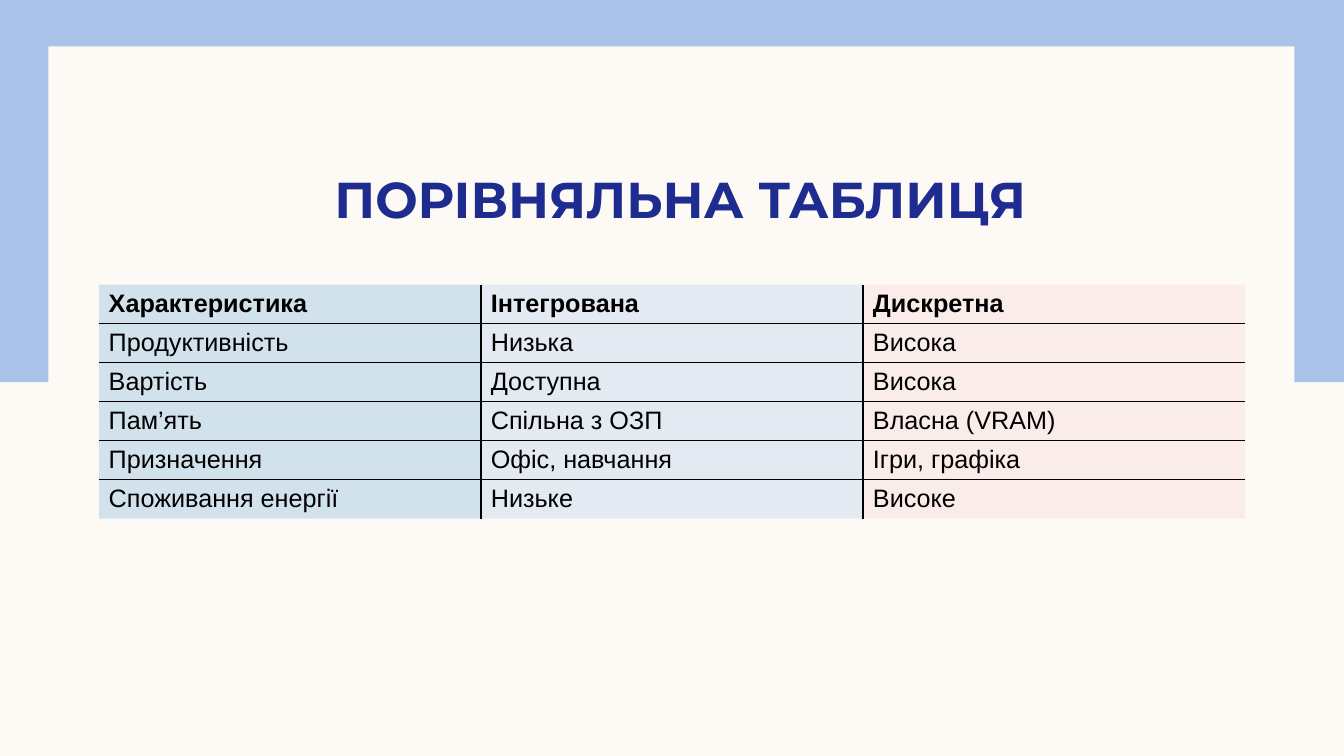
from dataclasses import dataclass

import lxml.etree
import pptx
import pptx.dml.color
import pptx.enum.shapes
import pptx.enum.text
import pptx.oxml.ns
import pptx.util
from pptx.util import Cm

COLORS = {
    "cream": "FDFAF6",
    "frame": "AAC3E8",
    "title": "1F2C8F",
    "text": "000000",
    "border": "000000",
}


@dataclass
class Panel:
    left: float
    top: float
    width: float
    height: float
    color: str


@dataclass
class Column:
    fill: str
    opacity: int  # percent
    texts: list[str]  # header first


PANELS = [
    Panel(-0.08, 0, 33.95, 9.63, "frame"),
    Panel(1.22, 1.17, 31.4, 16.74, "cream"),
]
COLUMNS = [
    Column("0070C0", 17, ["Характеристика", "Продуктивність", "Вартість",
                          "Пам’ять", "Призначення", "Споживання енергії"]),
    Column("AAC4E9", 29, ["Інтегрована", "Низька", "Доступна",
                          "Спільна з ОЗП", "Офіс, навчання", "Низьке"]),
    Column("F5CDCE", 30, ["Дискретна", "Висока", "Висока",
                          "Власна (VRAM)", "Ігри, графіка", "Високе"]),
]
COLUMN_WIDTH = 9.63
ROW_HEIGHT = 0.97


def rgb(value: str) -> pptx.dml.color.RGBColor:
    return pptx.dml.color.RGBColor.from_string(value)


def child(parent, tag: str, **attributes: str):
    return lxml.etree.SubElement(parent, pptx.oxml.ns.qn(tag), **attributes)


def add_text(para, text: str, font: str, size: int, color: str, bold: bool) -> None:
    span = para.add_run()
    span.text = text
    span.font.name = font
    span.font.size = pptx.util.Pt(size)
    span.font.bold = bold
    span.font.color.rgb = rgb(COLORS[color])


def add_panel(page, panel: Panel) -> None:
    shape = page.shapes.add_shape(
        pptx.enum.shapes.MSO_SHAPE.RECTANGLE,
        Cm(panel.left), Cm(panel.top), Cm(panel.width), Cm(panel.height))
    shape.shadow.inherit = False
    shape.fill.solid()
    shape.fill.fore_color.rgb = rgb(COLORS[panel.color])
    shape.line.fill.background()


def add_title(page, text: str) -> None:
    box = page.shapes.add_textbox(Cm(2.54), Cm(2.95), Cm(29.21), Cm(2.82))
    frame = box.text_frame
    frame.word_wrap = True
    frame.vertical_anchor = pptx.enum.text.MSO_ANCHOR.BOTTOM
    frame.margin_top = frame.margin_bottom = 0
    para = frame.paragraphs[0]
    para.alignment = pptx.enum.text.PP_ALIGN.CENTER
    add_text(para, text, "Montserrat", 36, "title", True)


def style_cell(cell, column: Column, borders: dict[str, bool]) -> None:
    cell.vertical_anchor = pptx.enum.text.MSO_ANCHOR.MIDDLE
    cell.margin_left = cell.margin_right = Cm(0.25)
    cell.margin_top = cell.margin_bottom = Cm(0.11)
    properties = cell._tc.get_or_add_tcPr()
    # Borders come before the fill
    for tag, visible in borders.items():
        line = child(properties, tag, w=str(pptx.util.Pt(1)))
        if visible:
            solid = child(line, "a:solidFill")
            child(solid, "a:srgbClr", val=COLORS["border"])
        else:
            child(line, "a:noFill")
    solid = child(properties, "a:solidFill")
    tint = child(solid, "a:srgbClr", val=column.fill)
    child(tint, "a:alpha", val=str(column.opacity * 1000))


def add_comparison(page, columns: list[Column]) -> None:
    row_count, column_count = len(columns[0].texts), len(columns)
    table = page.shapes.add_table(
        row_count, column_count, Cm(2.49), Cm(7.17),
        Cm(COLUMN_WIDTH * column_count), Cm(ROW_HEIGHT * row_count)).table
    table.first_row = table.horz_banding = False
    for row in table.rows:
        row.height = Cm(ROW_HEIGHT)
    for x, column in enumerate(columns):
        table.columns[x].width = Cm(COLUMN_WIDTH)
        for y, text in enumerate(column.texts):
            cell = table.cell(y, x)
            # Only the inner edges are ruled
            style_cell(cell, column, {
                "a:lnL": x > 0,
                "a:lnR": x < column_count - 1,
                "a:lnT": y > 0,
                "a:lnB": y < row_count - 1,
            })
            add_text(cell.text_frame.paragraphs[0], text, "Arial", 18, "text", y == 0)


def main() -> None:
    deck = pptx.Presentation()
    deck.slide_width, deck.slide_height = Cm(33.87), Cm(19.05)
    page = deck.slides.add_slide(deck.slide_layouts[6])

    # Background and frame
    page.background.fill.solid()
    page.background.fill.fore_color.rgb = rgb(COLORS["cream"])
    for panel in PANELS:
        add_panel(page, panel)

    # Content
    add_title(page, "ПОРІВНЯЛЬНА ТАБЛИЦЯ")
    add_comparison(page, COLUMNS)
    deck.save("out.pptx")


if __name__ == "__main__":
    main()
